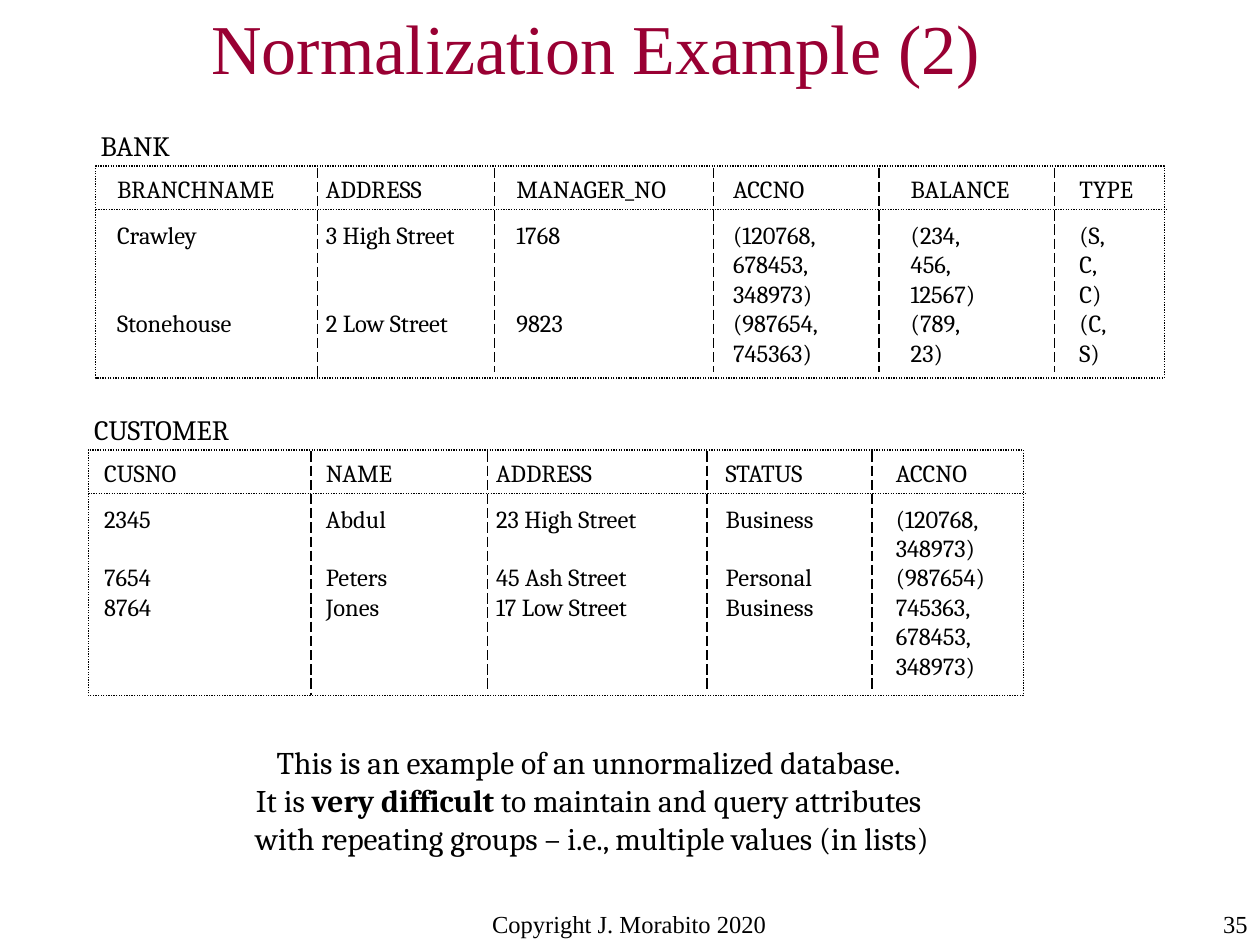
from pptx import Presentation
from pptx import util as u
from pptx.dml import color
from pptx.enum import dml, shapes, text
from pptx.oxml import ns
from lxml import etree

LINE_PITCH = 16.8
HEADER_GAP = 9.5


def paint(target, value):
    target.rgb = color.RGBColor.from_string(value)


def write(box, lines, style, align=text.PP_ALIGN.LEFT, wrap=True, header=False):
    frame = box.text_frame
    frame.word_wrap = wrap
    gap = 0
    para = frame.paragraphs[0]
    for number, line in enumerate(lines):
        if not line:
            gap += LINE_PITCH
            continue
        if number:
            para = frame.add_paragraph()
            para.space_before = u.Pt(gap + (HEADER_GAP if header and number == 1 else 0))
        gap = 0
        para.alignment = align
        for position, part in enumerate(line.split("*")):
            span = para.add_run()
            span.text = part
            for name, value in style.items():
                setattr(span.font, name, value)
            span.font.bold = position % 2 == 1
            paint(span.font.color, "990033" if box.is_placeholder else "000000")


title_style = {"name": "Times New Roman", "size": u.Pt(40)}
footer_style = {"name": "Times New Roman", "size": u.Pt(14)}
label_style = {"name": "Cambria", "size": u.Pt(16)}
cell_style = {"name": "Cambria", "size": u.Pt(14)}
note_style = {"name": "Cambria", "size": u.Pt(18)}

relations = [
    {
        "name": "BANK", "label": (1.78, 2.01), "frame": (1.93, 3.35, 21.54, 4.27),
        "rule_end": 23.52, "dividers": [6.4, 9.97, 14.38, 17.72, 21.26],
        "columns": [
            (2.11, 3.91, "BRANCHNAME|Crawley|||Stonehouse"),
            (6.32, 3.53, "ADDRESS|3 High Street|||2 Low Street"),
            (10.16, 3.89, "MANAGER_NO|1768|||9823"),
            (14.53, 2.49, "ACCNO|(120768,|678453,|348973)|(987654,|745363)"),
            (18.11, 2.69, "BALANCE|(234,|456,|12567)|(789,|23)"),
            (21.51, 1.63, "TYPE|(S,|C,|C)|(C,|S)"),
        ],
    },
    {
        "name": "CUSTOMER", "label": (1.65, 3.51), "frame": (1.78, 9.07, 18.85, 4.95),
        "rule_end": 20.7, "dividers": [6.27, 9.83, 14.25, 17.58],
        "columns": [
            (1.85, 2.21, "CUSNO|2345||7654|8764"),
            (6.32, 1.98, "NAME|Abdul||Peters|Jones"),
            (9.75, 3.84, "ADDRESS|23 High Street||45 Ash Street|17 Low Street"),
            (14.38, 2.57, "STATUS|Business||Personal|Business"),
            (17.81, 2.49, "ACCNO|(120768,|348973)|(987654)|745363,|678453,|348973)"),
        ],
    },
]

deck = Presentation()
deck.slide_width = u.Cm(25.4)
deck.slide_height = u.Cm(19.05)
slide = deck.slides.add_slide(deck.slide_layouts[5])

title = slide.shapes.title
place = {"left": 4.01, "top": 0.2, "width": 21.39, "height": 1.47}
for name, value in place.items():
    setattr(title, name, u.Cm(value))
title.text_frame.auto_size = text.MSO_AUTO_SIZE.NONE
title.text_frame.vertical_anchor = text.MSO_ANCHOR.MIDDLE
write(title, ["Normalization Example (2)"], title_style)

for relation in relations:
    left, top, width, height = relation["frame"]
    frame = slide.shapes.add_shape(
        shapes.MSO_SHAPE.RECTANGLE, *map(u.Cm, (left, top, width, height)))
    frame.shadow.inherit = False
    frame.fill.background()
    paint(frame.line.color, "000000")
    frame.line.width = u.Pt(0.75)
    frame.line.dash_style = dml.MSO_LINE.ROUND_DOT

    label_left, label_width = relation["label"]
    label = slide.shapes.add_textbox(*map(u.Cm, (label_left, top - 0.88, label_width, 0.94)))
    write(label, [relation["name"]], label_style, wrap=False)

    for column_left, column_width, content in relation["columns"]:
        lines = content.split("|")
        column_height = 0.59 + 0.593 * len(lines)
        column = slide.shapes.add_textbox(
            *map(u.Cm, (column_left, top + 0.03, column_width, column_height)))
        write(column, lines, cell_style, wrap=False, header=True)

    rule_y = top + 0.88
    strokes = [(left, rule_y, relation["rule_end"], rule_y, dml.MSO_LINE.ROUND_DOT)]
    for number, x in enumerate(relation["dividers"]):
        bottom = top + height - (0 if number == 0 else 0.12)
        strokes.append((x, top + 0.03, x, bottom, dml.MSO_LINE.LONG_DASH))
    for *ends, dash in strokes:
        stroke = slide.shapes.add_connector(shapes.MSO_CONNECTOR.STRAIGHT, *map(u.Cm, ends))
        paint(stroke.line.color, "000000")
        stroke.line.width = u.Pt(0.75)
        stroke.line.dash_style = dash
        etree.SubElement(stroke.element.spPr, ns.qn("a:effectLst"))

note = slide.shapes.add_textbox(*map(u.Cm, (2.41, 14.86, 18.92, 2.54)))
write(note, [
    "This is an example of an unnormalized database.",
    "It is *very difficult* to maintain and query attributes",
    " with repeating groups – i.e., multiple values (in lists)",
], note_style, align=text.PP_ALIGN.CENTER)

footer = slide.shapes.add_textbox(*map(u.Cm, (8.66, 18.21, 8.05, 0.64)))
write(footer, ["Copyright J. Morabito 2020"], footer_style, align=text.PP_ALIGN.CENTER)
page = slide.shapes.add_textbox(*map(u.Cm, (21.79, 18.21, 3.61, 0.84)))
write(page, ["35"], footer_style, align=text.PP_ALIGN.RIGHT)

deck.save("out.pptx")
